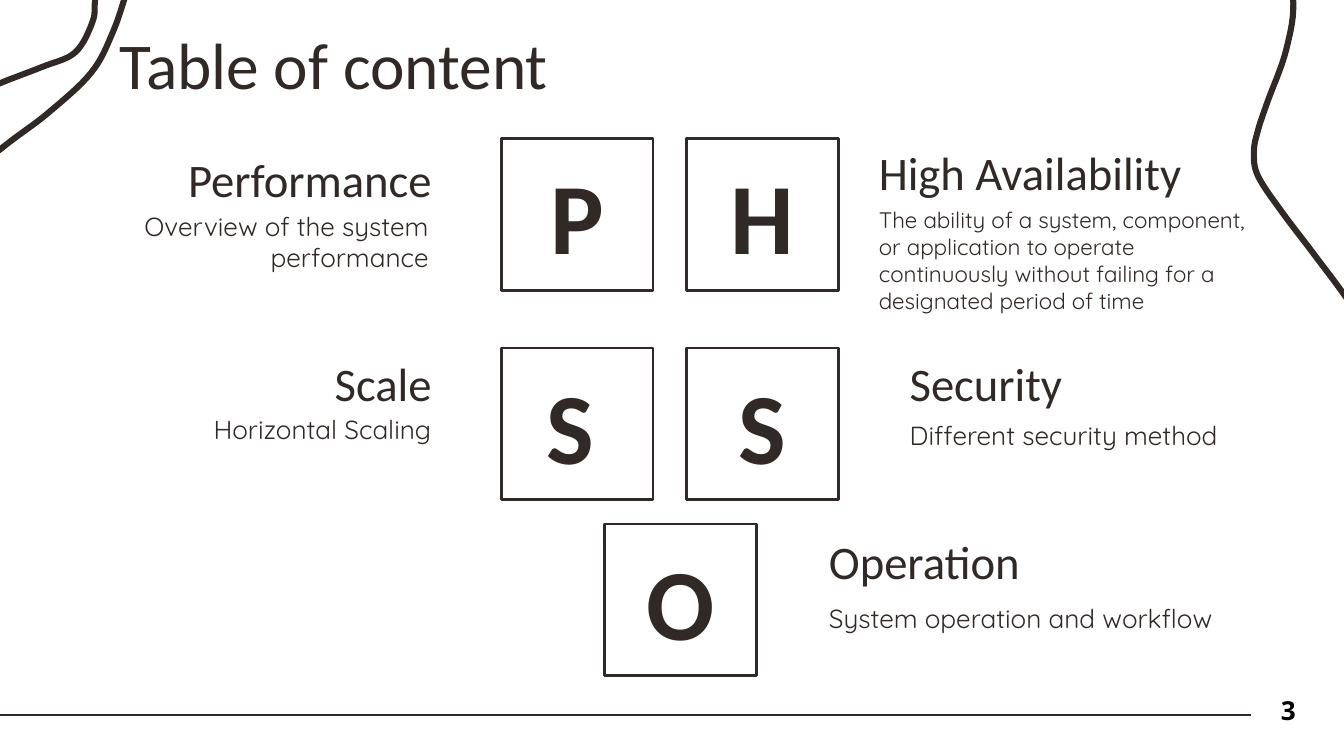
from pptx import Presentation
from pptx.dml.color import RGBColor
from pptx.enum.shapes import MSO_CONNECTOR, MSO_SHAPE
from pptx.enum.text import MSO_ANCHOR, PP_ALIGN
from pptx.util import Inches, Pt
from lxml import etree

LEFT, CENTER, RIGHT = PP_ALIGN.LEFT, PP_ALIGN.CENTER, PP_ALIGN.RIGHT
MIDDLE = MSO_ANCHOR.MIDDLE
RECT = MSO_SHAPE.RECTANGLE
STRAIGHT = MSO_CONNECTOR.STRAIGHT
A_NS = "http://schemas.openxmlformats.org/drawingml/2006/main"

COLORS = {"ink": "302926", "number": "000000"}
INK = RGBColor.from_string(COLORS["ink"])
STEPS = 8

prs = Presentation()
prs.slide_width = Inches(10)
prs.slide_height = Inches(10) * 9 // 16
s = prs.slides.add_slide(prs.slide_layouts[6])


def write(sp, text, size, font="Calibri", align=LEFT, bold=False, color="ink"):
    tf = sp.text_frame
    tf.word_wrap = True
    tf.vertical_anchor = MIDDLE
    tf.margin_left = tf.margin_right = Inches(0.1)
    tf.margin_top = tf.margin_bottom = Inches(0.1)
    p = tf.paragraphs[0]
    p.alignment = align
    r = p.add_run()
    r.text = text
    r.font.size = Pt(size)
    r.font.name = font
    r.font.bold = bold
    r.font.color.rgb = RGBColor.from_string(COLORS[color])


def smooth_points(anchors):
    """Return points, as lengths, on a Catmull-Rom curve through the anchors."""
    pts = [anchors[0], *anchors, anchors[-1]]
    curve = [anchors[0]]
    for a, b, c, d in zip(pts, pts[1:], pts[2:], pts[3:]):
        for i in range(1, STEPS + 1):
            t = i / STEPS
            curve.append(tuple(
                0.5 * (2 * q + (r - p) * t + (2 * p - 5 * q + 4 * r - v) * t ** 2
                       + (3 * q - p - 3 * r + v) * t ** 3)
                for p, q, r, v in zip(a, b, c, d)))
    return [(Inches(x), Inches(y)) for x, y in curve]


# Hand-drawn strands in the top corners
STRANDS = [
    [(1.28, -0.78), (1.12, -0.61), (1.06, -0.41), (0.95, -0.08), (0.84, 0.24),
     (0.68, 0.54), (0.36, 0.84), (0.03, 1.09), (-0.33, 1.4), (-0.6, 1.9),
     (-0.82, 2.42)],
    [(1.35, -1.08), (1.2, -0.94), (1.04, -0.78), (0.88, -0.63), (0.77, -0.33),
     (0.71, -0.01), (0.69, 0.16), (0.56, 0.39), (0.31, 0.5), (0, 0.62),
     (-0.34, 0.77), (-0.69, 0.94), (-1.09, 1.26), (-1.15, 1.42)],
    [(9.41, -0.84), (9.49, -0.55), (9.62, -0.03), (9.57, 0.37), (9.43, 0.76),
     (9.36, 0.97), (9.33, 1.13), (9.36, 1.31), (9.54, 1.58), (9.79, 1.91),
     (10.06, 2.28), (10.34, 2.75), (10.53, 3.31), (10.5, 3.53)],
]
for anchors in STRANDS:
    curve = smooth_points(anchors)
    fb = s.shapes.build_freeform(*curve[0])
    fb.add_line_segments(curve[1:], close=False)
    sp = fb.convert_to_shape()
    sp.shadow.inherit = False
    sp.fill.background()
    sp.line.color.rgb = INK
    sp.line.width = Pt(3.25)

# Letter tiles
TILE = 1.13
for letter, x, y in [("P", 3.73, 1.03), ("H", 5.11, 1.03), ("S", 3.73, 2.59),
                     ("S", 5.11, 2.59), ("O", 4.5, 3.9)]:
    sp = s.shapes.add_shape(RECT, Inches(x), Inches(y), Inches(TILE), Inches(TILE))
    sp.shadow.inherit = False
    sp.fill.background()
    sp.line.color.rgb = INK
    sp.line.width = Pt(1.5)
    write(sp, letter, 54, align=CENTER, bold=True)
    if (letter, x) == ("S", 3.73):
        sp.text_frame.margin_left = 0

# Title, topic headings and descriptions
BODY = "Quicksand"
TEXTS = [
    ("Table of content", 0.79, 0.16, 8.43, 0.63, 35, "Calibri", LEFT),
    ("Performance", 0.78, 1.04, 2.53, 0.58, 25, "Calibri", RIGHT),
    ("Overview of the system performance", 0.81, 1.47, 2.48, 0.66, 14, BODY, RIGHT),
    ("High Availability", 6.44, 0.99, 3.01, 0.58, 25, "Calibri", LEFT),
    ("The ability of a system, component, or application to operate "
     "continuously without failing for a designated period of time",
     6.44, 1.41, 3.09, 1.05, 12, BODY, LEFT),
    ("Scale", 0.78, 2.56, 2.53, 0.58, 25, "Calibri", RIGHT),
    ("Horizontal Scaling", 1.15, 2.98, 2.16, 0.42, 14, BODY, RIGHT),
    ("Security", 6.67, 2.56, 2.53, 0.58, 25, "Calibri", LEFT),
    ("Different security method", 6.67, 2.98, 2.62, 0.52, 14, BODY, LEFT),
    ("Operation", 6.07, 3.88, 2.53, 0.58, 25, "Calibri", LEFT),
    ("System operation and workflow", 6.07, 4.24, 3.26, 0.71, 14, BODY, LEFT),
]
for text, x, y, w, h, size, font, align in TEXTS:
    sp = s.shapes.add_textbox(Inches(x), Inches(y), Inches(w), Inches(h))
    write(sp, text, size, font, align)

# Footer rule and slide number
rule = s.shapes.add_connector(STRAIGHT, Inches(-0.36), Inches(5.32),
                              Inches(9.31), Inches(5.32))
rule.line.color.rgb = INK
rule.line.width = Pt(1.5)
etree.SubElement(rule.element.spPr, f"{{{A_NS}}}effectLst")

sp = s.shapes.add_textbox(Inches(9.14), Inches(5.07), Inches(0.6), Inches(0.43))
write(sp, "3", 14, "Open Sans", RIGHT, bold=True, color="number")

prs.save("out.pptx")
